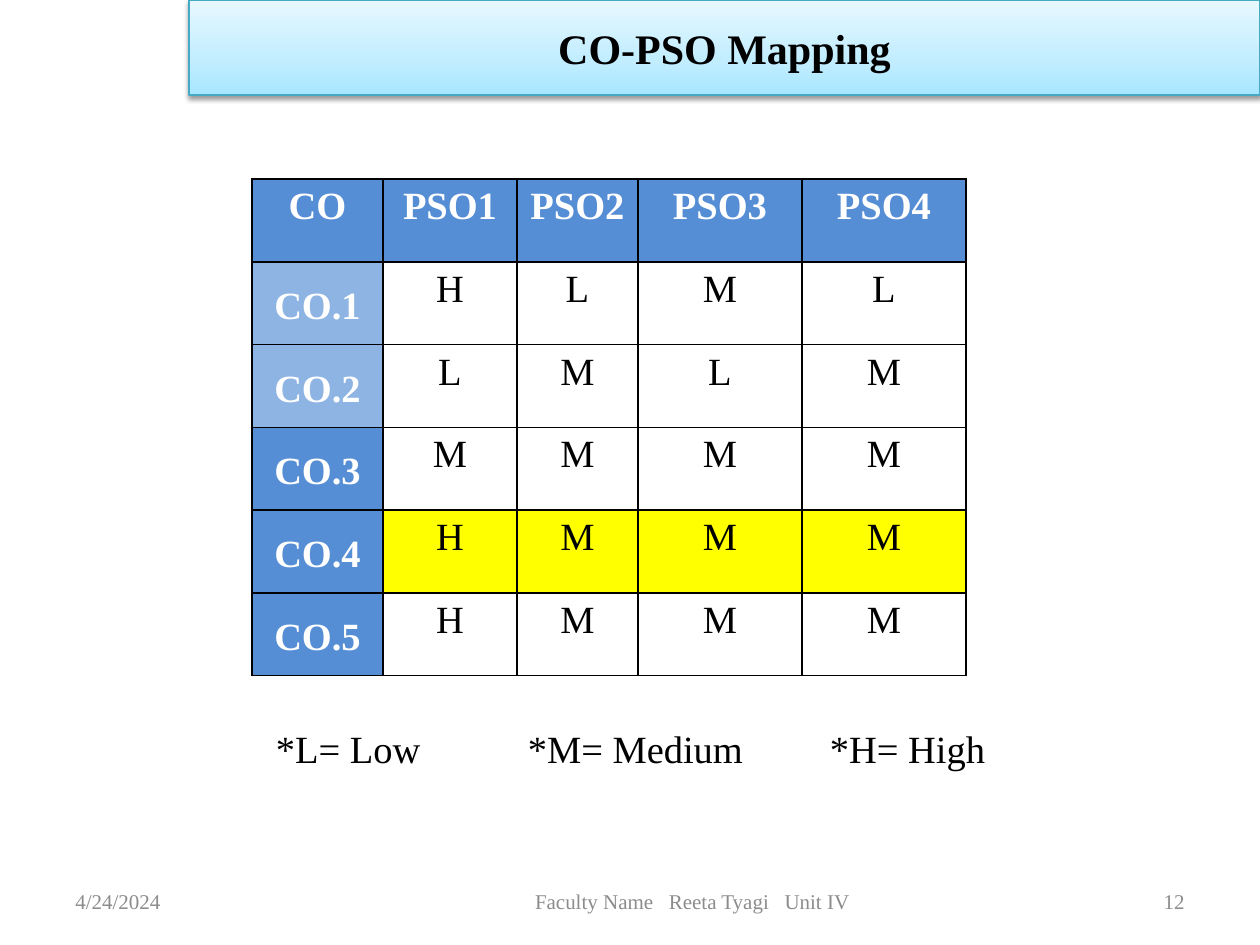
from copy import deepcopy
from dataclasses import dataclass

from lxml import etree
from pptx import Presentation
from pptx.dml.color import RGBColor
from pptx.enum.shapes import MSO_SHAPE
from pptx.enum.text import MSO_ANCHOR, PP_ALIGN
from pptx.oxml.ns import qn
from pptx.util import Emu, Pt

RECTANGLE = MSO_SHAPE.RECTANGLE
TOP, MIDDLE = MSO_ANCHOR.TOP, MSO_ANCHOR.MIDDLE
LEFT, CENTER, RIGHT = PP_ALIGN.LEFT, PP_ALIGN.CENTER, PP_ALIGN.RIGHT
EMU_PER_PX = 914400 / 126


@dataclass(frozen=True)
class Theme:
    """Colours and type sizes of the slide."""
    font: str = "Times New Roman"
    title_size: int = 24
    body_size: int = 22
    footer_size: int = 12
    ink: str = "000000"
    paper: str = "FFFFFF"
    muted: str = "8C8C8C"
    banner_line: str = "46AAC5"
    banner_stops: tuple = ((0, "A7E6FF"), (0.35, "C1EDFF"), (1, "E7F8FF"))
    strong: str = "558ED5"
    soft: str = "8EB4E3"
    highlight: str = "FFFF00"


THEME = Theme()
HEADINGS = ("CO", "PSO1", "PSO2", "PSO3", "PSO4")
OUTCOMES = (
    ("CO.1", "HLML", THEME.soft, THEME.paper),
    ("CO.2", "LMLM", THEME.soft, THEME.paper),
    ("CO.3", "MMMM", THEME.strong, THEME.paper),
    ("CO.4", "HMMM", THEME.strong, THEME.highlight),
    ("CO.5", "HMMM", THEME.strong, THEME.paper),
)
COLUMN_WIDTHS = (131, 134, 121, 164, 164)
TABLE_HEIGHT = 497
FOOTERS = (
    ("4/24/2024", 63, 294, LEFT),
    ("Faculty Name   Reeta Tyagi   Unit IV", 346, 693, CENTER),
    ("12", 903, 294, RIGHT),
)


def px(length):
    """Turn pixels into EMU."""
    return Emu(round(length * EMU_PER_PX))


def apply(target, **values):
    """Set each named format value on the target."""
    for name, value in values.items():
        setattr(target, name, value)


def write(frame, text, size, color, bold=False, **paragraph_format):
    """Write one formatted paragraph into a text frame."""
    paragraph = frame.paragraphs[0]
    apply(paragraph, **paragraph_format)
    run = paragraph.add_run()
    run.text = text
    apply(run.font, name=THEME.font, size=Pt(size), bold=bold)
    run.font.color.rgb = RGBColor.from_string(color)
    return paragraph


def add_label(slide, box, text, size, color, **paragraph_format):
    """Add a text box with one vertically centred line."""
    frame = slide.shapes.add_textbox(*map(px, box)).text_frame
    apply(frame, word_wrap=True, vertical_anchor=MIDDLE)
    write(frame, text, size, color, **paragraph_format)
    return frame


def add_banner(slide, box, title):
    """Add the gradient title banner with its drop shadow."""
    banner = slide.shapes.add_shape(RECTANGLE, *map(px, box))
    banner.fill.gradient()
    banner.fill.gradient_angle = 90
    properties = banner._element.spPr
    stop_list = properties.find(".//" + qn("a:gsLst"))
    stop_list.append(deepcopy(stop_list[-1]))
    for stop, (position, color) in zip(banner.fill.gradient_stops, THEME.banner_stops):
        stop.position = position
        stop.color.rgb = RGBColor.from_string(color)
    banner.line.color.rgb = RGBColor.from_string(THEME.banner_line)
    banner.line.width = Pt(0.75)
    banner.shadow.inherit = False
    shadow = etree.SubElement(
        properties.find(qn("a:effectLst")), qn("a:outerShdw"),
        blurRad=str(Pt(3.1)), dist=str(Pt(1.6)), dir="5400000", rotWithShape="0")
    shade = etree.SubElement(shadow, qn("a:srgbClr"), val=THEME.ink)
    etree.SubElement(shade, qn("a:alpha"), val="38000")
    apply(banner.text_frame, word_wrap=True, vertical_anchor=MIDDLE)
    write(banner.text_frame, title, THEME.title_size, THEME.ink, True, alignment=CENTER)


def add_borders(cell):
    """Draw a thin dark line on all four sides of a cell."""
    properties = cell._tc.get_or_add_tcPr()
    for side in ("lnL", "lnR", "lnT", "lnB"):
        line = etree.SubElement(properties, qn(f"a:{side}"), w=str(Pt(1)))
        fill = etree.SubElement(line, qn("a:solidFill"))
        etree.SubElement(fill, qn("a:srgbClr"), val=THEME.ink)


def fill_cell(cell, text, fill, color, bold, anchor=TOP):
    """Format one table cell and write its text."""
    add_borders(cell)
    cell.fill.solid()
    cell.fill.fore_color.rgb = RGBColor.from_string(fill)
    apply(cell, margin_left=px(9), margin_right=px(9), margin_top=0,
          margin_bottom=0, vertical_anchor=anchor)
    write(cell.text_frame, text, THEME.body_size, color, bold,
          alignment=CENTER, line_spacing=1.15)


def add_mapping(slide, left, top):
    """Add the table of outcomes against programme outcomes."""
    row_count = len(OUTCOMES) + 1
    table = slide.shapes.add_table(
        row_count, len(HEADINGS), px(left), px(top),
        px(sum(COLUMN_WIDTHS)), px(TABLE_HEIGHT)).table
    apply(table, first_row=False, horz_banding=False)
    for column, width in zip(table.columns, COLUMN_WIDTHS):
        column.width = px(width)
    for row in table.rows:
        row.height = px(TABLE_HEIGHT / row_count)
    for index, heading in enumerate(HEADINGS):
        fill_cell(table.cell(0, index), heading, THEME.strong, THEME.paper, True)
    for row_index, (outcome, levels, label_fill, level_fill) in enumerate(OUTCOMES, 1):
        fill_cell(table.cell(row_index, 0), outcome, label_fill, THEME.paper, True, MIDDLE)
        for index, level in enumerate(levels, 1):
            fill_cell(table.cell(row_index, index), level, level_fill, THEME.ink, False)


def add_legend(slide, box, entries, stops):
    """Add the key to the levels, spaced by tab stops."""
    frame = add_label(slide, box, "\t".join(entries), THEME.body_size, THEME.ink,
                      alignment=LEFT)
    apply(frame, margin_left=0, margin_right=0)
    properties = frame.paragraphs[0]._p.get_or_add_pPr()
    tabs = etree.SubElement(properties, qn("a:tabLst"))
    for stop in stops:
        etree.SubElement(tabs, qn("a:tab"), pos=str(px(stop)), algn="l")


def main():
    """Build and save the slide."""
    deck = Presentation()
    apply(deck, slide_width=px(1260), slide_height=px(945))
    slide = deck.slides.add_slide(deck.slide_layouts[6])
    for text, left, width, alignment in FOOTERS:
        add_label(slide, (left, 876, width, 50), text, THEME.footer_size,
                  THEME.muted, alignment=alignment)
    add_banner(slide, (189, 0, 1071, 95), "CO-PSO Mapping")
    add_legend(slide, (276, 720, 780, 56), ("*L= Low", "*M= Medium", "*H= High"),
               (252, 554))
    add_mapping(slide, 252, 179)
    deck.save("out.pptx")


if __name__ == "__main__":
    main()
